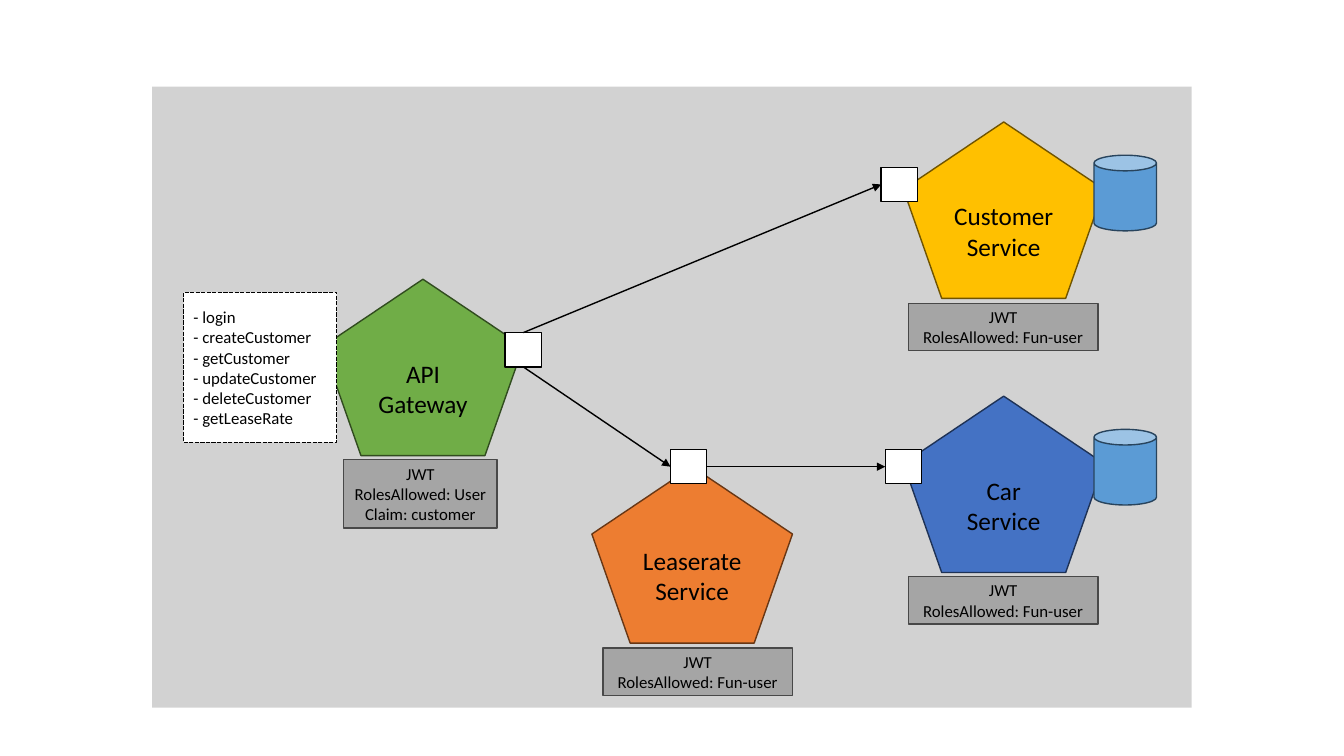
from dataclasses import dataclass
from typing import Any

import lxml.etree
import pptx
import pptx.dml.color
import pptx.enum.dml
import pptx.enum.shapes
import pptx.enum.text
import pptx.oxml.ns
import pptx.util

SHAPE = pptx.enum.shapes.MSO_SHAPE
ALIGN = pptx.enum.text.PP_ALIGN
Inches = pptx.util.Inches
qn = pptx.oxml.ns.qn
TOP, LEFT, BOTTOM, RIGHT = range(4)


@dataclass
class Service:
    text: str
    x: float
    y: float
    fill: str
    line: str


@dataclass
class Policy:
    text: str
    x: float
    y: float
    w: float = 1.88
    h: float = 0.47


@dataclass
class Port:
    name: str
    x: float
    y: float


@dataclass
class Call:
    source: str
    source_side: int
    target: str


FUN_USER = "JWT\nRolesAllowed: Fun-user"
OPERATIONS = (
    "- login\n- createCustomer\n- getCustomer\n"
    "- updateCustomer\n- deleteCustomer\n- getLeaseRate"
)
SERVICES = [
    Service("API Gateway", 3.2, 2.77, "70AD47", "314C1F"),
    Service("Customer\nService", 8.96, 1.21, "FFC000", "705400"),
    Service("Car\nService", 8.96, 3.93, "4472C4", "1E3256"),
    Service("Leaserate\nService", 5.87, 4.63, "ED7D31", "683715"),
]
PORTS = [
    Port("gateway", 5.01, 3.3),
    Port("leaserate", 6.65, 4.46),
    Port("car", 8.78, 4.46),
    Port("customer", 8.74, 1.66),
]
CALLS = [
    Call("gateway", BOTTOM, "leaserate"),
    Call("gateway", TOP, "customer"),
    Call("leaserate", RIGHT, "car"),
]
DATABASE_TOPS = [1.54, 4.26]
POLICIES = [
    Policy("JWT\nRolesAllowed: User\nClaim: customer", 3.41, 4.56, 1.52, 0.68),
    Policy(FUN_USER, 9.01, 3.01),
    Policy(FUN_USER, 9.01, 5.72),
    Policy(FUN_USER, 5.98, 6.43),
]


def rgb(value: str) -> pptx.dml.color.RGBColor:
    return pptx.dml.color.RGBColor.from_string(value)


def add_box(s: Any, kind: Any, x: float, y: float, w: float, h: float,
            fill: str, line: str | None = "000000") -> Any:
    sp = s.shapes.add_shape(kind, Inches(x), Inches(y), Inches(w), Inches(h))
    sp.shadow.inherit = False
    sp.fill.solid()
    sp.fill.fore_color.rgb = rgb(fill)
    if line is None:
        sp.line.fill.background()
    else:
        sp.line.color.rgb = rgb(line)
        sp.line.width = pptx.util.Pt(1)
    return sp


def set_text(sp: Any, text: str, *, size: float = 12, color: str = "000000",
             font: str = "Calibri", align: Any = ALIGN.CENTER) -> None:
    tf = sp.text_frame
    tf.word_wrap = True
    tf.vertical_anchor = pptx.enum.text.MSO_ANCHOR.MIDDLE
    for i, line in enumerate(text.split("\n")):
        p = tf.paragraphs[0] if i == 0 else tf.add_paragraph()
        p.alignment = align
        r = p.add_run()
        r.text = line
        r.font.size = pptx.util.Pt(size)
        r.font.name = font
        r.font.color.rgb = rgb(color)


def add_arrow(s: Any, source: Any, source_side: int, target: Any) -> None:
    cxn = s.shapes.add_connector(pptx.enum.shapes.MSO_CONNECTOR.STRAIGHT, 0, 0, 0, 0)
    cxn.begin_connect(source, source_side)
    cxn.end_connect(target, LEFT)
    cxn.line.color.rgb = rgb("000000")
    cxn.line.width = pptx.util.Pt(1)
    spPr = cxn._element.spPr
    lxml.etree.SubElement(spPr.find(qn("a:ln")), qn("a:tailEnd"), type="triangle")
    lxml.etree.SubElement(spPr, qn("a:effectLst"))


def main() -> None:
    prs = pptx.Presentation()
    prs.slide_width, prs.slide_height = Inches(13.33), Inches(7.5)
    s = prs.slides.add_slide(prs.slide_layouts[6])

    platform = add_box(s, SHAPE.RECTANGLE, 1.51, 0.86, 10.31, 6.16, "A6A6A6", None)
    color = platform._element.spPr.find(qn("a:solidFill")).find(qn("a:srgbClr"))
    lxml.etree.SubElement(color, qn("a:alpha"), val="50000")

    for service in SERVICES:
        sp = add_box(s, SHAPE.REGULAR_PENTAGON, service.x, service.y, 1.99, 1.75,
                     service.fill, service.line)
        set_text(sp, service.text, size=18)

    ports = {port.name: add_box(s, SHAPE.RECTANGLE, port.x, port.y, 0.36, 0.34, "FFFFFF")
             for port in PORTS}
    for call in CALLS:
        add_arrow(s, ports[call.source], call.source_side, ports[call.target])

    for y in DATABASE_TOPS:
        add_box(s, SHAPE.CAN, 10.85, y, 0.62, 0.75, "5B9BD5", "28445D")

    operations = add_box(s, SHAPE.RECTANGLE, 1.82, 2.9, 1.52, 1.49, "FFFFFF")
    operations.line.dash_style = pptx.enum.dml.MSO_LINE.SQUARE_DOT
    set_text(operations, OPERATIONS, align=ALIGN.LEFT)

    for policy in POLICIES:
        sp = add_box(s, SHAPE.RECTANGLE, policy.x, policy.y, policy.w, policy.h,
                     "A5A5A5", "484848")
        set_text(sp, policy.text)

    prs.save("out.pptx")


if __name__ == "__main__":
    main()
